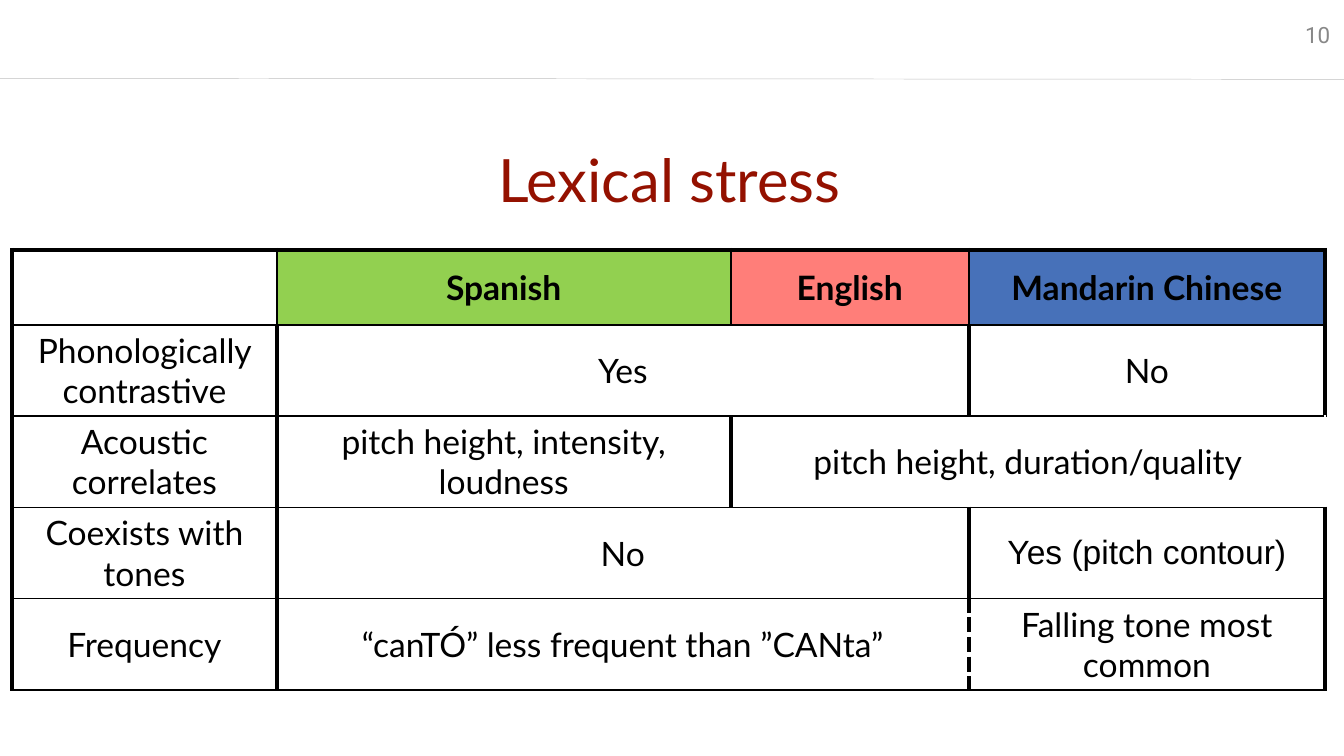
"""Build a slide with a table comparing lexical stress in three languages."""
from dataclasses import dataclass

from lxml import etree
from pptx import Presentation
from pptx.dml.color import RGBColor
from pptx.enum.shapes import MSO_CONNECTOR
from pptx.enum.text import MSO_ANCHOR, MSO_AUTO_SIZE, PP_ALIGN
from pptx.oxml.ns import qn
from pptx.slide import Slide
from pptx.table import Table, _Cell
from pptx.text.text import TextFrame
from pptx.util import Cm, Pt

CENTER = PP_ALIGN.CENTER
RIGHT = PP_ALIGN.RIGHT
MIDDLE = MSO_ANCHOR.MIDDLE
NO_AUTOFIT = MSO_AUTO_SIZE.NONE
STRAIGHT = MSO_CONNECTOR.STRAIGHT

BLACK = RGBColor(0x00, 0x00, 0x00)
WHITE = RGBColor(0xFF, 0xFF, 0xFF)
DARK_RED = RGBColor(0x94, 0x11, 0x00)
GREEN = RGBColor(0x92, 0xD0, 0x50)
CORAL = RGBColor(0xFF, 0x7E, 0x79)
BLUE = RGBColor(0x47, 0x71, 0xB9)
RULE_GREY = RGBColor(0xBF, 0xBF, 0xBF)
NUMBER_GREY = RGBColor(0x88, 0x88, 0x88)

THIN = 1
THICK = 2.25
COLUMN_WIDTHS = (5, 8.58, 4.5, 6.73)
ROW_HEIGHTS = (1.42, 1.71, 1.71, 1.71, 1.71)


@dataclass(frozen=True)
class Entry:
    text: str
    span: int = 1
    fill: RGBColor = WHITE
    font: str = "Lato"
    bold: bool = False


ROWS = (
    (
        Entry(""),
        Entry("Spanish", fill=GREEN, bold=True),
        Entry("English", fill=CORAL, bold=True),
        Entry("Mandarin Chinese", fill=BLUE, bold=True),
    ),
    (Entry("Phonologically contrastive"), Entry("Yes", span=2), Entry("No")),
    (
        Entry("Acoustic correlates"),
        Entry("pitch height, intensity, loudness"),
        Entry("pitch height, duration/quality", span=2),
    ),
    (
        Entry("Coexists with tones"),
        Entry("No", span=2),
        Entry("Yes (pitch contour)", font="Arial"),
    ),
    (
        Entry("Frequency"),
        Entry("“canTÓ” less frequent than ”CANta”", span=2),
        Entry("Falling tone most common"),
    ),
)


def write_text(frame: TextFrame, text: str, size: float, color: RGBColor,
               font: str = "Lato", bold: bool = False,
               alignment: PP_ALIGN = CENTER) -> None:
    frame.text = text
    paragraph = frame.paragraphs[0]
    paragraph.alignment = alignment
    paragraph.font.name = font
    paragraph.font.size = Pt(size)
    paragraph.font.bold = bold
    paragraph.font.color.rgb = color


def set_insets(frame: TextFrame, inset: float) -> None:
    frame.margin_left = frame.margin_right = Cm(inset)
    frame.margin_top = frame.margin_bottom = Cm(inset)


def add_border(cell: _Cell, side: str, width: float, dash: str = "solid") -> None:
    properties = cell._tc.get_or_add_tcPr()
    line = etree.SubElement(properties, qn(f"a:ln{side}"), w=str(Pt(width)))
    fill = etree.SubElement(line, qn("a:solidFill"))
    etree.SubElement(fill, qn("a:srgbClr"), val=str(BLACK))
    etree.SubElement(line, qn("a:prstDash"), val=dash)


def format_cell(table: Table, row: int, column: int, entry: Entry) -> None:
    last_row, last_column = len(ROW_HEIGHTS) - 1, len(COLUMN_WIDTHS) - 1
    end = column + entry.span - 1
    inner = THICK if row else THIN
    for position in range(column, end + 1):
        cell = table.cell(row, position)
        if position == column:
            dashed = row == last_row and column == last_column
            add_border(cell, "L", inner if column else THICK,
                       "sysDash" if dashed else "solid")
        if position == end:
            dashed = row == last_row and end == last_column - 1
            add_border(cell, "R", THICK if end == last_column else inner,
                       "sysDash" if dashed else "solid")
        add_border(cell, "T", THIN if row else THICK)
        add_border(cell, "B", THIN)
        cell.fill.solid()
        cell.fill.fore_color.rgb = entry.fill
    origin = table.cell(row, column)
    if entry.span > 1:
        origin.merge(table.cell(row, end))
    origin.vertical_anchor = MIDDLE
    origin.margin_left = origin.margin_right = Cm(0.1)
    origin.margin_top = origin.margin_bottom = Cm(0.1)
    write_text(origin.text_frame, entry.text, 18, BLACK, entry.font, entry.bold)


def add_stress_table(slide: Slide) -> None:
    frame = slide.shapes.add_table(
        len(ROW_HEIGHTS), len(COLUMN_WIDTHS), Cm(0.23), Cm(4.72),
        Cm(sum(COLUMN_WIDTHS)), Cm(sum(ROW_HEIGHTS)))
    table = frame.table
    table.first_row = table.horz_banding = False
    for column, width in zip(table.columns, COLUMN_WIDTHS):
        column.width = Cm(width)
    for row, height in zip(table.rows, ROW_HEIGHTS):
        row.height = Cm(height)
    for row_index, entries in enumerate(ROWS):
        column_index = 0
        for entry in entries:
            format_cell(table, row_index, column_index, entry)
            column_index += entry.span


def add_header_rule(slide: Slide) -> None:
    rule = slide.shapes.add_connector(STRAIGHT, 0, Cm(1.48), Cm(25.4), Cm(1.5))
    rule.line.color.rgb = RULE_GREY
    rule.line.width = Pt(0.25)
    etree.SubElement(rule._element.spPr, qn("a:effectLst"))


def format_title(slide: Slide) -> None:
    title = slide.shapes.title
    title.left, title.top = Cm(0.97), Cm(2.57)
    title.width, title.height = Cm(23.37), Cm(1.6)
    frame = title.text_frame
    frame.auto_size = NO_AUTOFIT
    frame.vertical_anchor = MIDDLE
    set_insets(frame, 0.13)
    write_text(frame, "Lexical stress", 32, DARK_RED)


def add_slide_number(slide: Slide) -> None:
    box = slide.shapes.add_textbox(Cm(24.51), Cm(0.28), Cm(0.76), Cm(0.74))
    frame = box.text_frame
    frame.word_wrap = False
    frame.vertical_anchor = MIDDLE
    set_insets(frame, 0.13)
    write_text(frame, "10", 12, NUMBER_GREY, "Roboto", alignment=RIGHT)


def main() -> None:
    presentation = Presentation()
    presentation.slide_width = Cm(25.4)
    presentation.slide_height = Cm(14.29)
    slide = presentation.slides.add_slide(presentation.slide_layouts[5])
    add_header_rule(slide)
    format_title(slide)
    add_stress_table(slide)
    add_slide_number(slide)
    presentation.save("out.pptx")


if __name__ == "__main__":
    main()
